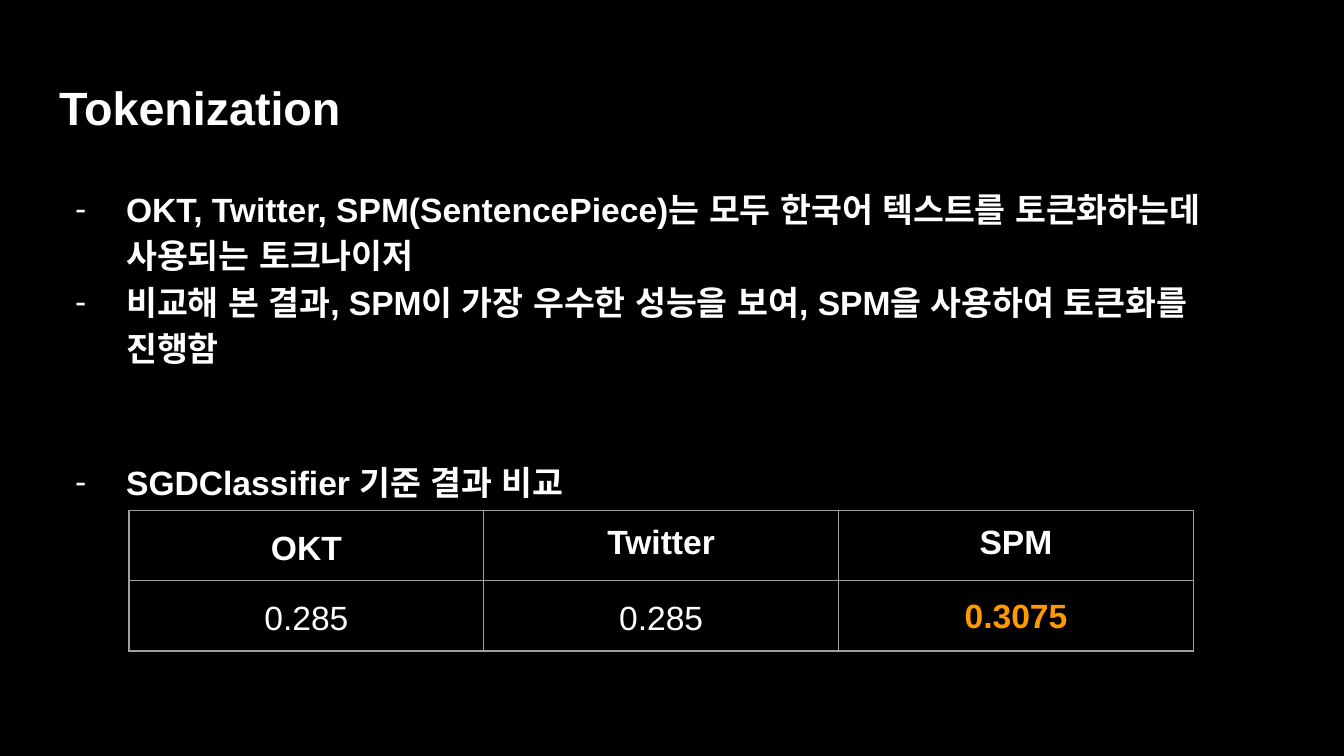
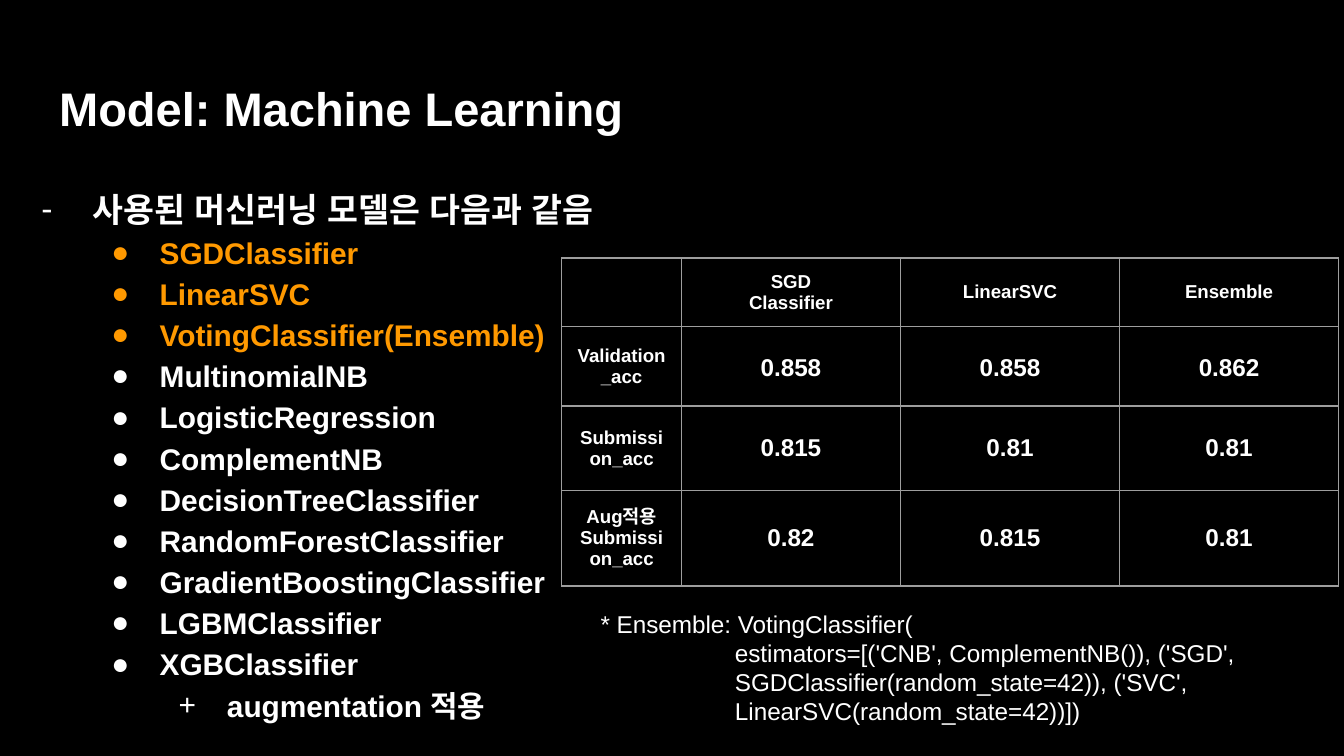
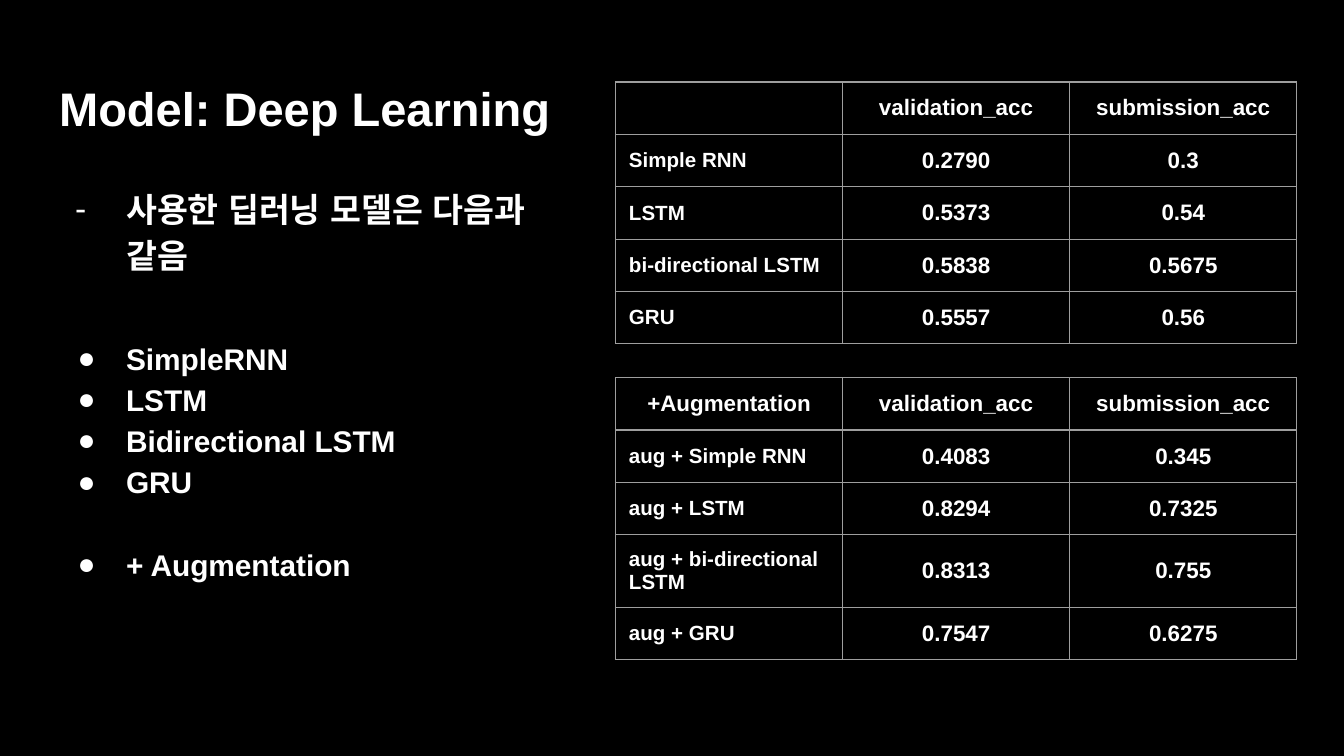
from lxml.etree import SubElement
from pptx import Presentation
from pptx.dml.color import RGBColor
from pptx.enum.text import MSO_ANCHOR, MSO_AUTO_SIZE, PP_ALIGN
from pptx.oxml.ns import qn
from pptx.util import Inches, Pt

COLORS = {"ground": "000000", "text": "FFFFFF", "accent": "FF9900", "rule": "9E9E9E"}
FONT = "Arial"
MARGIN = Inches(0.1)
SLIDE_WIDTH = Inches(10)
SLIDE_HEIGHT = SLIDE_WIDTH * 9 // 16
BODY_TOP, BODY_HEIGHT = 1.26, 3.74

DASH = {"bullet": "-", "left": 0.5, "hang": 0.38, "size": 18}
DOT = {"bullet": "●", "left": 0.5, "hang": 0.36, "size": 16}
DEEP_DOT = {**DOT, "left": 1}
CHOSEN = {**DEEP_DOT, "color": "accent"}
PLUS = {**DOT, "bullet": "+", "left": 1.5}

USED_MODELS = ["SGDClassifier", "LinearSVC", "VotingClassifier(Ensemble)"]
OTHER_MODELS = [
    "MultinomialNB", "LogisticRegression", "ComplementNB", "DecisionTreeClassifier",
    "RandomForestClassifier", "GradientBoostingClassifier", "LGBMClassifier", "XGBClassifier",
]
ENSEMBLE_NOTE = [
    ("* Ensemble: VotingClassifier(", 0),
    ("estimators=[('CNB', ComplementNB()), ('SGD', SGDClassifier(random_state=42)), "
     "('SVC', LinearSVC(random_state=42))])", 1),
]

DEEP_TABLE = {
    "left": 4.58, "columns": [1.69] * 3,
    "head_size": 12, "label_size": 11, "value_size": 12, "label_align": PP_ALIGN.LEFT,
}

SLIDES = [
    {
        "title": "Tokenization", "title_size": 25, "body_left": 0.34, "body_width": 9.32,
        "body": [
            ("OKT, Twitter, SPM(SentencePiece)는 모두 한국어 텍스트를 토큰화하는데 사용되는 토크나이저", DASH),
            ("비교해 본 결과, SPM이 가장 우수한 성능을 보여, SPM을 사용하여 토큰화를 진행함", DASH),
            ("SGDClassifier 기준 결과 비교", {**DASH, "before": 48, "spacing": 1.11}),
        ],
        "tables": [{
            "left": 0.96, "top": 3.8, "columns": [2.64] * 3, "heights": [0.52] * 2,
            "head_size": 18, "label_size": 18, "value_size": 18,
            "anchor": MSO_ANCHOR.TOP,
            "spacing": {(0, 0): 1.15, (1, 0): 1.15, (1, 1): 1.15, (1, 2): 1.11},
            "plain": [(1, 0), (1, 1)], "accent": [(1, 2)],
            "rows": [["OKT", "Twitter", "SPM"], ["0.285", "0.285", "0.3075"]],
        }],
    },
    {
        "title": "Model: Machine Learning", "title_size": 25.2, "body_left": 0.09, "body_width": 4.78,
        "body": [("사용된 머신러닝 모델은 다음과 같음", DASH)]
        + [(model, CHOSEN) for model in USED_MODELS]
        + [(model, DEEP_DOT) for model in OTHER_MODELS]
        + [("augmentation 적용", PLUS)],
        "tables": [{
            "left": 4.18, "top": 1.92, "columns": [0.89] + [1.63] * 3,
            "heights": [0.51, 0.59, 0.63, 0.71],
            "head_size": 10, "label_size": 10, "value_size": 13,
            "spacing": {(1, column): 1.15 for column in (1, 2, 3)},
            "rows": [
                ["", "SGD\nClassifier", "LinearSVC", "Ensemble"],
                ["Validation_acc", "0.858", "0.858", "0.862"],
                ["Submission_acc", "0.815", "0.81", "0.81"],
                ["Aug적용\nSubmission_acc", "0.82", "0.815", "0.81"],
            ],
        }],
        "note": ENSEMBLE_NOTE,
    },
    {
        "title": "Model: Deep Learning", "title_size": 25.2, "body_left": 0.34, "body_width": 4.14,
        "body": [
            ("사용한 딥러닝 모델은 다음과 같음", DASH),
            ("SimpleRNN", {**DOT, "before": 32}),
            ("LSTM", DOT),
            ("Bidirectional LSTM", DOT),
            ("GRU", DOT),
            ("+ Augmentation", {**DOT, "before": 22}),
        ],
        "tables": [
            {**DEEP_TABLE, "top": 0.61, "heights": [0.39] * 5, "rows": [
                ["", "validation_acc", "submission_acc"],
                ["Simple RNN", "0.2790", "0.3"],
                ["LSTM", "0.5373", "0.54"],
                ["bi-directional LSTM", "0.5838", "0.5675"],
                ["GRU", "0.5557", "0.56"],
            ]},
            {**DEEP_TABLE, "top": 2.81, "heights": [0.39, 0.39, 0.39, 0.54, 0.39], "rows": [
                ["+Augmentation", "validation_acc", "submission_acc"],
                ["aug + Simple RNN", "0.4083", "0.345"],
                ["aug + LSTM", "0.8294", "0.7325"],
                ["aug + bi-directional LSTM", "0.8313", "0.755"],
                ["aug + GRU", "0.7547", "0.6275"],
            ]},
        ],
    },
]


def add_run(paragraph, text, size, color="text", bold=True):
    run = paragraph.add_run()
    run.text = text
    run.font.name = FONT
    run.font.size = Pt(size)
    run.font.bold = bold
    run.font.color.rgb = RGBColor.from_string(COLORS[color])
    for script in ("ea", "cs"):
        SubElement(run._r.get_or_add_rPr(), qn(f"a:{script}"), typeface=FONT)


def paragraphs_for(frame, items):
    for index, item in enumerate(items):
        yield (frame.add_paragraph() if index else frame.paragraphs[0]), item


def set_margins(holder):
    holder.margin_left = holder.margin_right = MARGIN
    holder.margin_top = holder.margin_bottom = MARGIN


def prepare_frame(frame):
    set_margins(frame)
    frame.word_wrap = True
    frame.auto_size = MSO_AUTO_SIZE.NONE
    frame.vertical_anchor = MSO_ANCHOR.TOP


def add_frame(slide, *box):
    frame = slide.shapes.add_textbox(*map(Inches, box)).text_frame
    prepare_frame(frame)
    return frame


def indent(paragraph, left, hang=0):
    properties = paragraph._p.get_or_add_pPr()
    properties.set("marL", str(Inches(left)))
    properties.set("indent", str(-Inches(hang)))
    return properties


def add_title(slide, text, size):
    title = slide.shapes.title
    title.left, title.top, title.width, title.height = map(Inches, (0.34, 0.49, 9.32, 0.63))
    prepare_frame(title.text_frame)
    heading = title.text_frame.paragraphs[0]
    heading.alignment = PP_ALIGN.LEFT
    add_run(heading, text, size)


def add_body(slide, left, width, items):
    frame = add_frame(slide, left, BODY_TOP, width, BODY_HEIGHT)
    for paragraph, (text, style) in paragraphs_for(frame, items):
        color = style.get("color", "text")
        paragraph.line_spacing = style.get("spacing", 1.15)
        paragraph.space_before = Pt(style.get("before", 0))
        properties = indent(paragraph, style["left"], style["hang"])
        SubElement(SubElement(properties, qn("a:buClr")), qn("a:srgbClr"), val=COLORS[color])
        SubElement(properties, qn("a:buFont"), typeface=FONT)
        SubElement(properties, qn("a:buChar"), char=style["bullet"])
        add_run(paragraph, text, style["size"], color)


def add_borders(cell):
    properties = cell._tc.get_or_add_tcPr()
    for side in ("lnL", "lnR", "lnT", "lnB"):
        line = SubElement(properties, qn(f"a:{side}"), w=str(Pt(0.75)))
        SubElement(SubElement(line, qn("a:solidFill")), qn("a:srgbClr"), val=COLORS["rule"])


def fill_cell(cell, text, place, scores):
    row, column = place
    kind = "head" if row == 0 else "label" if column == 0 else "value"
    size = scores[f"{kind}_size"]
    set_margins(cell)
    cell.vertical_anchor = scores.get("anchor", MSO_ANCHOR.MIDDLE)
    add_borders(cell)
    cell.fill.background()
    for paragraph, line in paragraphs_for(cell.text_frame, text.split("\n")):
        paragraph.alignment = PP_ALIGN.CENTER
        if kind == "label":
            paragraph.alignment = scores.get("label_align", PP_ALIGN.CENTER)
        paragraph.line_spacing = scores.get("spacing", {}).get(place, 1.0)
        if line:
            color = "accent" if place in scores.get("accent", []) else "text"
            add_run(paragraph, line, size, color, place not in scores.get("plain", []))
        else:
            paragraph._p.get_or_add_endParaRPr().set("sz", "1000")


def add_scores(slide, scores):
    rows, widths, heights = scores["rows"], scores["columns"], scores["heights"]
    box = (scores["left"], scores["top"], sum(widths), sum(heights))
    table = slide.shapes.add_table(len(rows), len(widths), *map(Inches, box)).table
    table.first_row = table.horz_banding = False
    for column, width in zip(table.columns, widths):
        column.width = Inches(width)
    for row, height in zip(table.rows, heights):
        row.height = Inches(height)
    for r, texts in enumerate(rows):
        for c, text in enumerate(texts):
            fill_cell(table.cell(r, c), text, (r, c), scores)


def add_note(slide, lines):
    frame = add_frame(slide, 4.37, 4.43, 5.09, 1.12)
    for paragraph, (text, left) in paragraphs_for(frame, lines):
        indent(paragraph, left)
        add_run(paragraph, text, 13, bold=False)


def main():
    deck = Presentation()
    deck.slide_width, deck.slide_height = SLIDE_WIDTH, SLIDE_HEIGHT
    for content in SLIDES:
        slide = deck.slides.add_slide(deck.slide_layouts[5])
        slide.background.fill.solid()
        slide.background.fill.fore_color.rgb = RGBColor.from_string(COLORS["ground"])
        add_title(slide, content["title"], content["title_size"])
        add_body(slide, content["body_left"], content["body_width"], content["body"])
        for scores in content["tables"]:
            add_scores(slide, scores)
        if "note" in content:
            add_note(slide, content["note"])
    deck.save("out.pptx")


if __name__ == "__main__":
    main()
